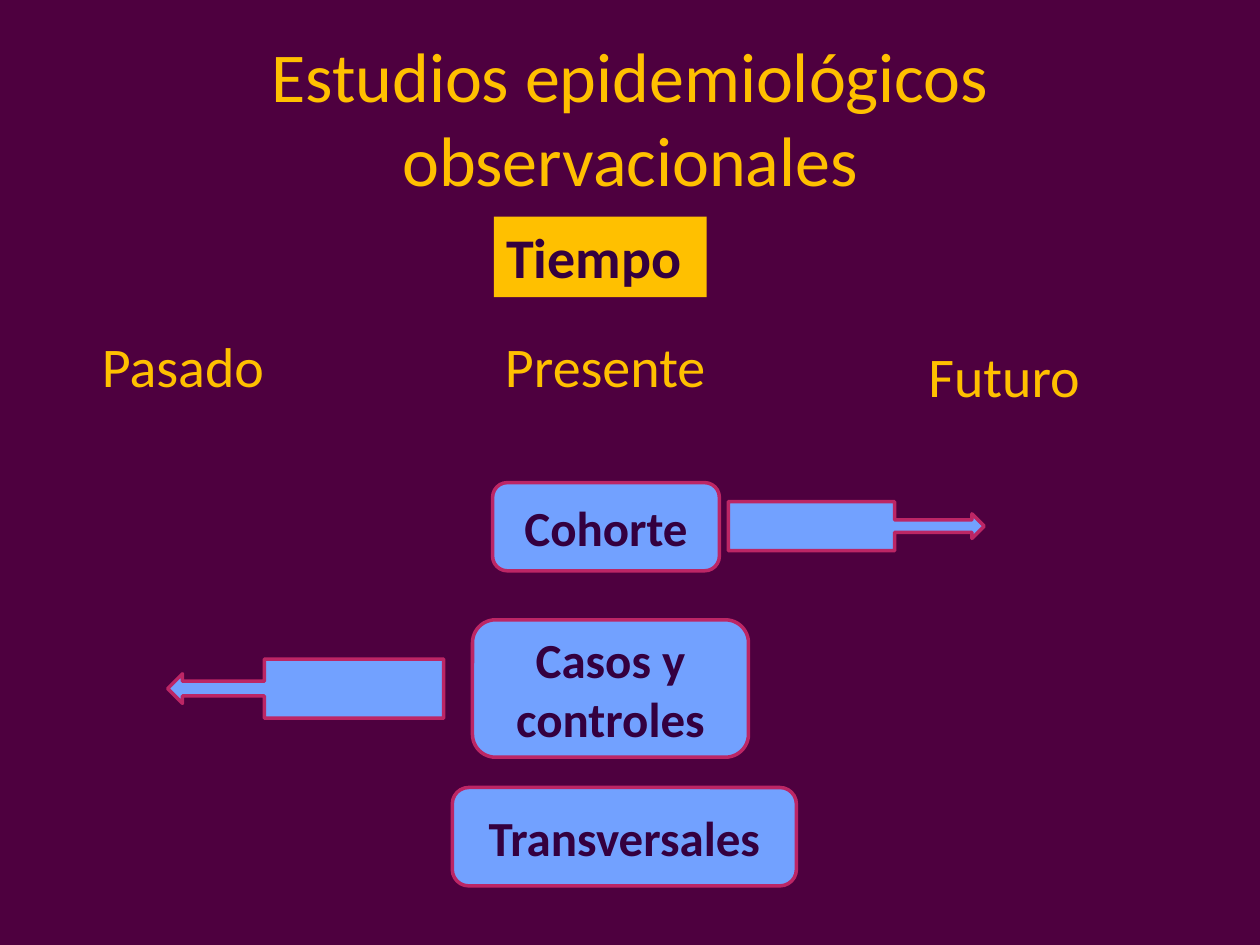
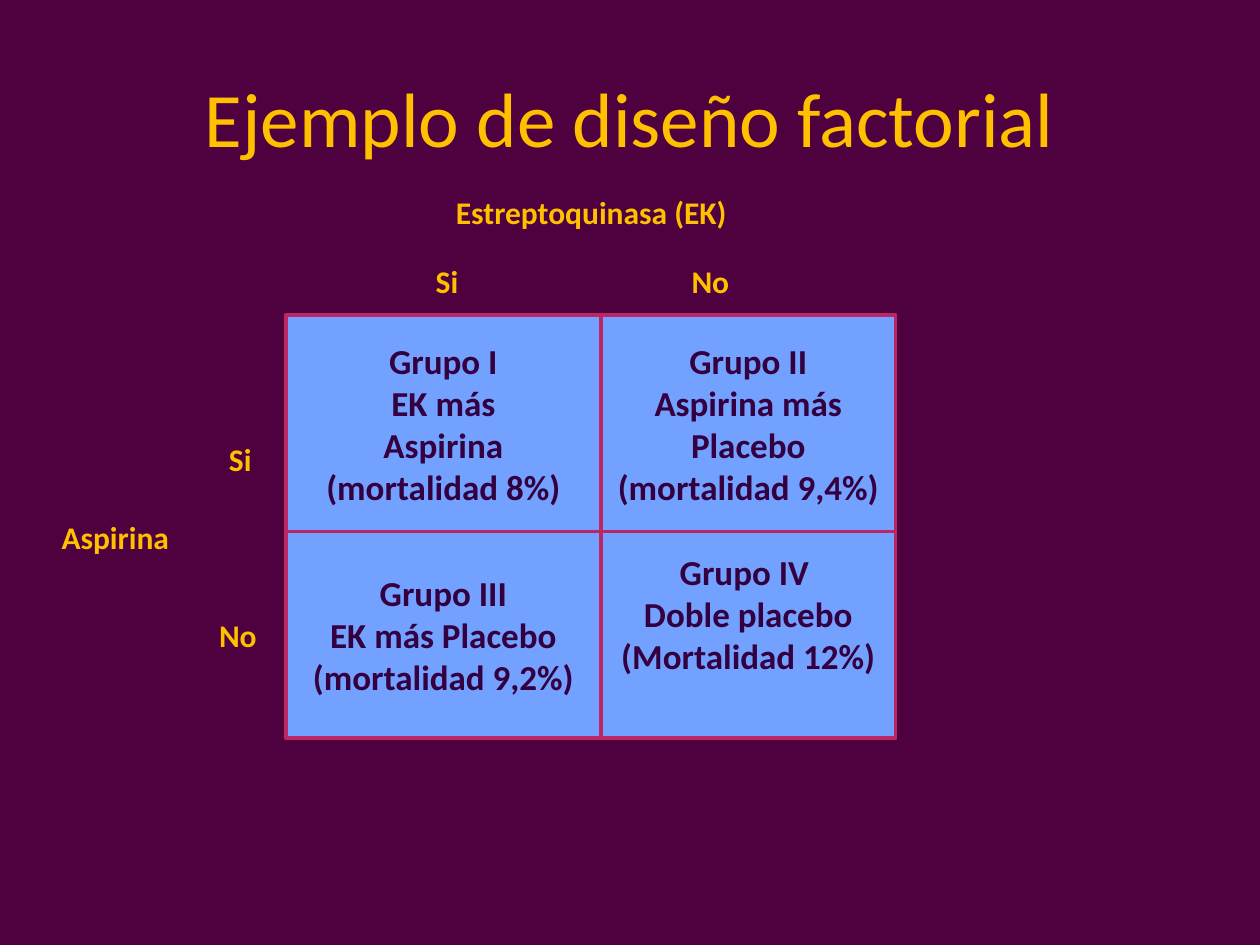
from dataclasses import dataclass
from itertools import accumulate

from pptx import Presentation
from pptx.dml.color import RGBColor
from pptx.enum.shapes import MSO_SHAPE
from pptx.enum.text import MSO_ANCHOR, MSO_AUTO_SIZE, PP_ALIGN
from pptx.presentation import Presentation as Deck
from pptx.shapes.autoshape import Shape
from pptx.slide import Slide
from pptx.util import Pt

FONT = "Calibri"
PLUM, GOLD, INK, SKY, ROSE = "4E003F", "FFC000", "34003F", "72A1FF", "BC2665"
LABEL_HEIGHT = {32: 46.1, 18: 28.8}
GRID_LEFT, GRID_TOP = 163.4, 180
COLUMN_WIDTHS = (180, 168.5)
ROW_HEIGHTS = (123.8, 118.1)
GROUP_SIZE, GROUP_LINE = 20, 24.4


@dataclass(frozen=True)
class Label:
    """A one-line caption, optionally on a filled band."""

    text: str
    left: float
    top: float
    width: float
    size: int
    bold: bool = False
    color: str = GOLD
    band: str | None = None


@dataclass(frozen=True)
class Panel:
    """An outlined blue shape with centred lines of text."""

    kind: MSO_SHAPE
    left: float
    top: float
    width: float
    height: float
    lines: tuple[str, ...] = ()
    size: int = 28
    raised: float = 0


@dataclass(frozen=True)
class Group:
    """One arm of the factorial design."""

    lines: tuple[str, ...]
    raised: float = 0


TIME_LABELS = (
    Label("Tiempo", 282.2, 123.8, 121.7, 32, True, INK, GOLD),
    Label("Pasado", 51.1, 185.8, 108, 32),
    Label("Presente", 281.5, 185.8, 129.6, 32),
    Label("Futuro", 523.4, 191.5, 101.5, 32),
)
STUDIES = (
    Panel(MSO_SHAPE.ROUNDED_RECTANGLE, 281.5, 275.8, 129.6, 50.4, ("Cohorte",)),
    Panel(MSO_SHAPE.ROUNDED_RECTANGLE, 270, 354.2, 157.7, 78.5, ("Casos y controles",)),
    Panel(MSO_SHAPE.LEFT_ARROW_CALLOUT, 95.8, 376.6, 157.7, 33.8),
    Panel(MSO_SHAPE.RIGHT_ARROW_CALLOUT, 416.2, 286.6, 146.2, 28.1),
    Panel(MSO_SHAPE.ROUNDED_RECTANGLE, 258.5, 450, 196.6, 56.2, ("Transversales",)),
)
GROUPS = (
    (
        Group(("Grupo I", "EK más", "Aspirina", "(mortalidad 8%)")),
        Group(("Grupo II", "Aspirina más Placebo", "(mortalidad 9,4%)")),
    ),
    (
        Group(("Grupo III", "EK más Placebo (mortalidad 9,2%)")),
        Group(("Grupo IV ", "Doble placebo", "(Mortalidad 12%)"), GROUP_LINE),
    ),
)
FACTOR_LABELS = (
    Label("Estreptoquinasa (EK)", 253.4, 106.6, 170.5, 18, True),
    Label("Si", 241.9, 146.2, 28, 18, True),
    Label("No", 388.1, 146.2, 36.5, 18, True),
    Label("No", 118.1, 348.5, 36.5, 18, True),
    Label("Si", 123.8, 247.7, 28, 18, True),
    Label("Aspirina", 28.1, 292.3, 78, 18, True),
)


def rgb(value: str) -> RGBColor:
    """Turn a hex string into a colour."""
    return RGBColor.from_string(value)


def write(shape: Shape, lines: tuple[str, ...], size: int, color: str,
          bold: bool, align: PP_ALIGN) -> None:
    """Fill a shape with one paragraph per line."""
    frame = shape.text_frame
    frame.text = "\n".join(lines)
    for paragraph in frame.paragraphs:
        paragraph.alignment = align
        paragraph.font.name = FONT
        paragraph.font.size = Pt(size)
        paragraph.font.bold = bold
        paragraph.font.color.rgb = rgb(color)


def draw_label(slide: Slide, label: Label) -> None:
    """Draw a caption that does not wrap."""
    caption = slide.shapes.add_textbox(
        Pt(label.left), Pt(label.top), Pt(label.width), Pt(LABEL_HEIGHT[label.size]))
    caption.text_frame.word_wrap = False
    caption.text_frame.auto_size = MSO_AUTO_SIZE.SHAPE_TO_FIT_TEXT
    if label.band:
        caption.fill.solid()
        caption.fill.fore_color.rgb = rgb(label.band)
    write(caption, (label.text,), label.size, label.color, label.bold, PP_ALIGN.LEFT)


def draw_panel(slide: Slide, panel: Panel) -> None:
    """Draw an outlined panel and its text."""
    block = slide.shapes.add_shape(
        panel.kind, Pt(panel.left), Pt(panel.top), Pt(panel.width), Pt(panel.height))
    block.shadow.inherit = False
    block.fill.solid()
    block.fill.fore_color.rgb = rgb(SKY)
    block.line.color.rgb = rgb(ROSE)
    block.line.width = Pt(2)
    if panel.lines:
        frame = block.text_frame
        frame.word_wrap = True
        frame.vertical_anchor = MSO_ANCHOR.MIDDLE
        frame.margin_bottom = Pt(3.6 + panel.raised)
        write(block, panel.lines, panel.size, INK, True, PP_ALIGN.CENTER)


def add_titled_slide(deck: Deck, text: str, size: int) -> Slide:
    """Add a plum slide with a centred gold title."""
    slide = deck.slides.add_slide(deck.slide_layouts[6])
    slide.background.fill.solid()
    slide.background.fill.fore_color.rgb = rgb(PLUM)
    title = slide.shapes.add_textbox(Pt(36), Pt(21.6), Pt(648), Pt(90))
    title.text_frame.word_wrap = True
    title.text_frame.vertical_anchor = MSO_ANCHOR.MIDDLE
    write(title, (text,), size, GOLD, False, PP_ALIGN.CENTER)
    return slide


def build_observational(deck: Deck) -> None:
    """Build the slide placing each study type in time."""
    slide = add_titled_slide(deck, "Estudios epidemiológicos observacionales", 40)
    for label in TIME_LABELS:
        draw_label(slide, label)
    for study in STUDIES:
        draw_panel(slide, study)


def build_factorial(deck: Deck) -> None:
    """Build the slide with the two-by-two factorial design."""
    slide = add_titled_slide(deck, "Ejemplo de diseño factorial", 44)
    lefts = accumulate(COLUMN_WIDTHS[:-1], initial=GRID_LEFT)
    columns = tuple(zip(lefts, COLUMN_WIDTHS))
    tops = accumulate(ROW_HEIGHTS[:-1], initial=GRID_TOP)
    for top, height, row in zip(tops, ROW_HEIGHTS, GROUPS):
        for (left, width), group in zip(columns, row):
            draw_panel(slide, Panel(MSO_SHAPE.RECTANGLE, left, top, width, height,
                                    group.lines, GROUP_SIZE, group.raised))
    for label in FACTOR_LABELS:
        draw_label(slide, label)


def main() -> None:
    """Build and save the presentation."""
    deck = Presentation()
    deck.slide_width, deck.slide_height = Pt(720), Pt(540)
    build_observational(deck)
    build_factorial(deck)
    deck.save("out.pptx")


if __name__ == "__main__":
    main()
